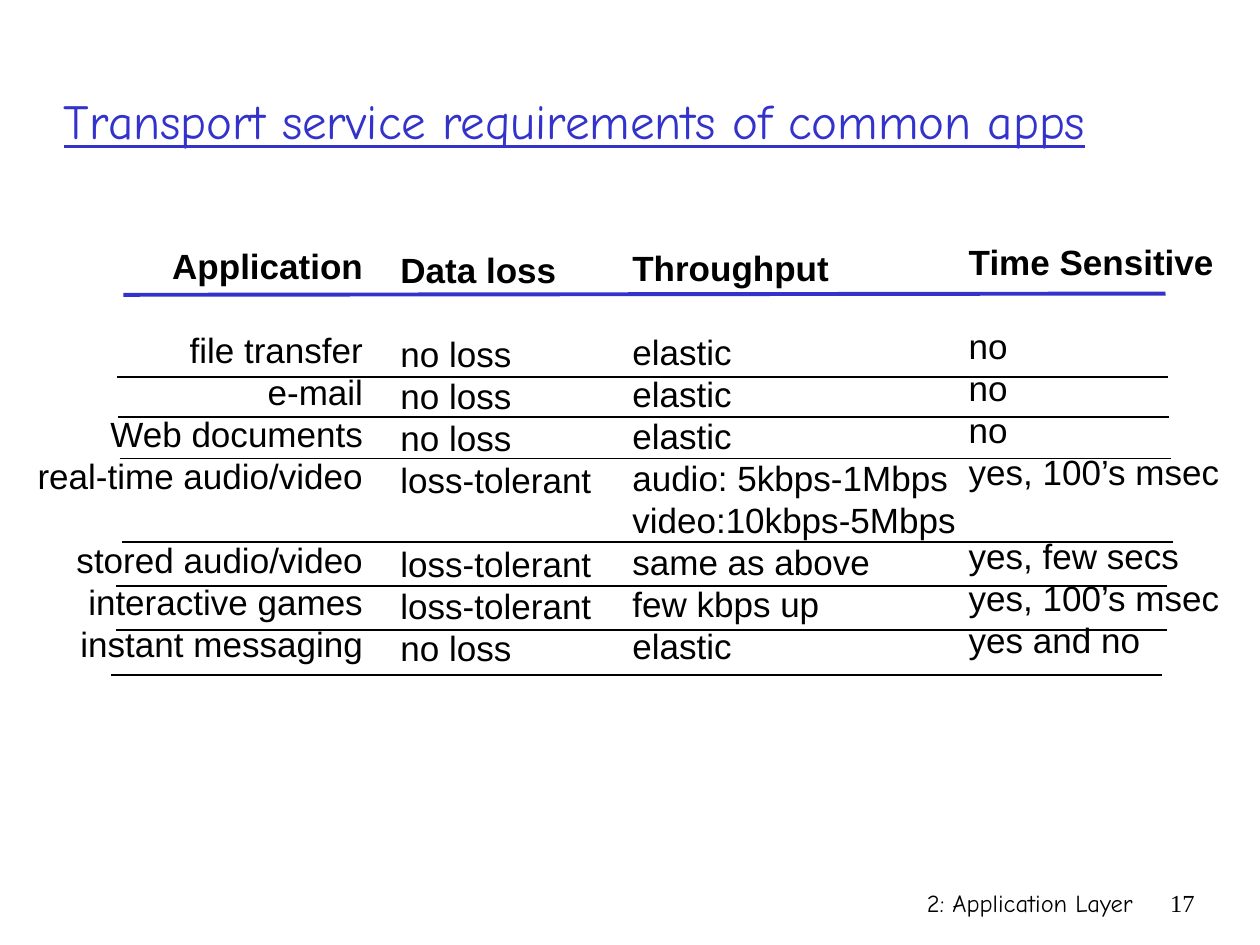
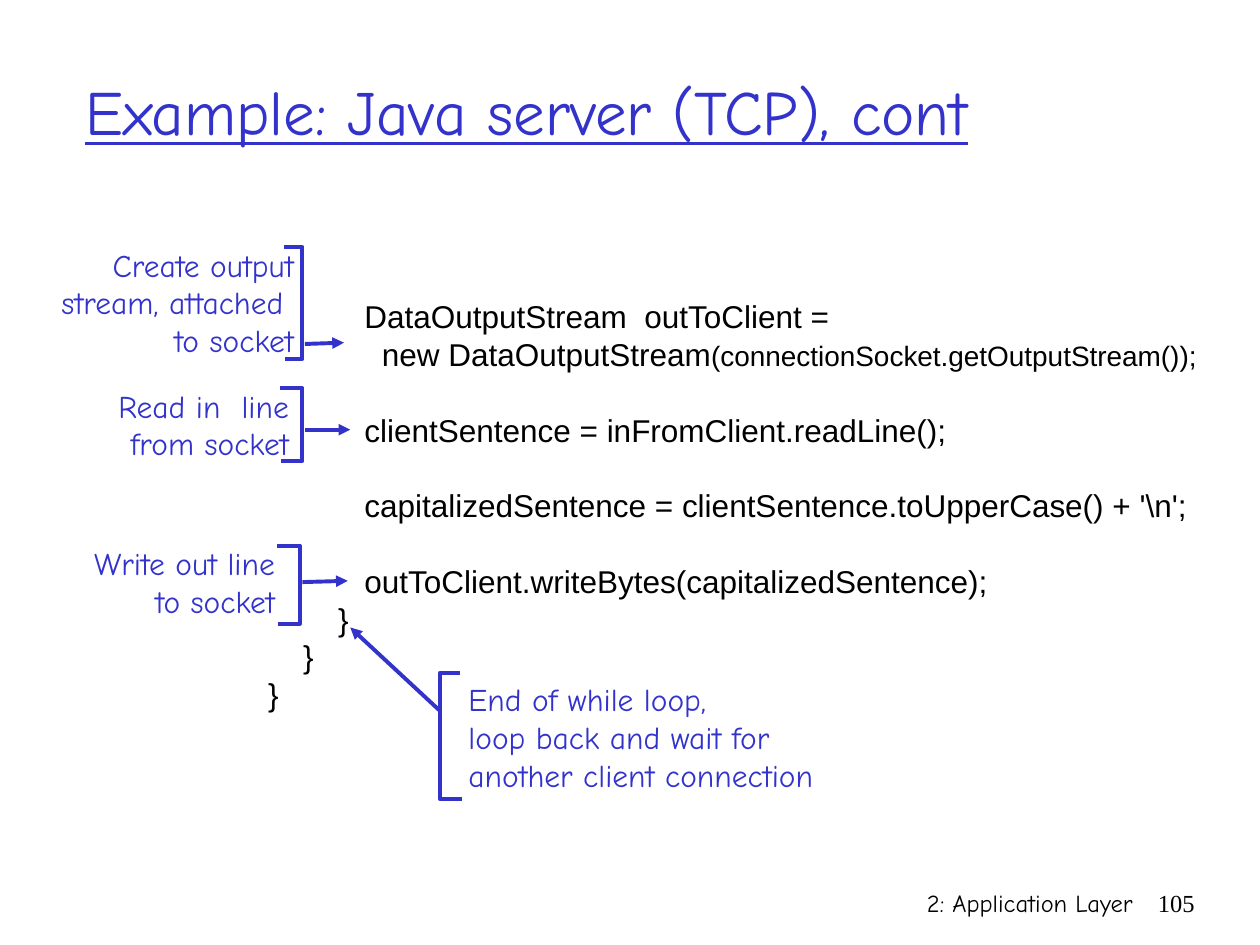
from lxml.etree import SubElement
from pptx import Presentation
from pptx.dml.color import RGBColor
from pptx.enum.shapes import MSO_CONNECTOR
from pptx.enum.text import MSO_ANCHOR, PP_ALIGN
from pptx.oxml.ns import qn
from pptx.util import Inches, Pt

BLUE = "3333CC"
BLACK = "000000"
HAND_FONT = "Comic Neue"
BODY_FONT = "Arial"
NUMBER_FONT = "Times New Roman"
LINE_HEIGHT = 1.2


def add_text(slide, box, lines, font, size, color=BLACK, align=PP_ALIGN.LEFT):
    frame = slide.shapes.add_textbox(*map(Inches, box)).text_frame
    frame.word_wrap = True
    skipped = 0
    paragraph = None
    for line in lines:
        if line is None:
            skipped += 1
            continue
        paragraph = frame.add_paragraph() if paragraph else frame.paragraphs[0]
        paragraph.alignment = align
        paragraph.line_spacing = Pt(size * LINE_HEIGHT)
        paragraph.space_before = Pt(size * LINE_HEIGHT * skipped)
        skipped = 0
        run = paragraph.add_run()
        run.text = line
        run.font.name = font
        run.font.size = Pt(size)
        run.font.color.rgb = RGBColor.from_string(color)
    return frame


def add_line(slide, start, end, color, width, arrow=False):
    points = map(Inches, (*start, *end))
    connector = slide.shapes.add_connector(MSO_CONNECTOR.STRAIGHT, *points)
    connector.line.color.rgb = RGBColor.from_string(color)
    connector.line.width = Pt(width)
    if arrow:
        SubElement(connector.line._get_or_add_ln(), qn("a:tailEnd"), type="triangle")
    SubElement(connector._element.spPr, qn("a:effectLst"))


presentation = Presentation()
presentation.slide_width = Inches(10)
presentation.slide_height = Inches(7.5)

headings = [
    ("Transport service requirements of common apps", 28, (0.41, 0.33, 8.97, 1.25), "17"),
    ("Example: Java server (TCP), cont", 36, (0.58, 0.25, 8.5, 1.25), "105"),
]
for title, title_size, title_box, number in headings:
    slide = presentation.slides.add_slide(presentation.slide_layouts[6])
    add_text(slide, (5.92, 7, 3.17, 0.5), ["2: Application Layer"], HAND_FONT, 14, align=PP_ALIGN.RIGHT)
    add_text(slide, (9.08, 7, 0.5, 0.5), [number], NUMBER_FONT, 14, align=PP_ALIGN.RIGHT)
    title_frame = add_text(slide, title_box, [title], HAND_FONT, title_size, BLUE)
    title_frame.vertical_anchor = MSO_ANCHOR.MIDDLE
    title_frame.paragraphs[0].runs[0].font.underline = True

requirements_slide, server_slide = presentation.slides

requirement_rows = [
    ("Application", "Data loss", "Throughput", "Time Sensitive"),
    (None, None, None, None),
    ("file transfer", "no loss", "elastic", "no"),
    ("e-mail", "no loss", "elastic", "no"),
    ("Web documents", "no loss", "elastic", "no"),
    ("real-time audio/video", "loss-tolerant", "audio: 5kbps-1Mbps", "yes, 100’s msec"),
    (None, None, "video:10kbps-5Mbps", None),
    ("stored audio/video", "loss-tolerant", "same as above", "yes, few secs"),
    ("interactive games", "loss-tolerant", "few kbps up", "yes, 100’s msec"),
    ("instant messaging", "no loss", "elastic", "yes and no"),
]
columns = [
    (0.1, 1.89, 2.88, PP_ALIGN.RIGHT),
    (3.08, 1.92, 1.8, PP_ALIGN.LEFT),
    (4.92, 1.91, 2.82, PP_ALIGN.LEFT),
    (7.59, 1.86, 2.26, PP_ALIGN.LEFT),
]
for (left, top, width, align), cells in zip(columns, zip(*requirement_rows)):
    frame = add_text(requirements_slide, (left, top, width, 3.44), cells, BODY_FONT, 20, align=align)
    frame.paragraphs[0].runs[0].font.bold = True

add_line(requirements_slide, (0.98, 2.34), (9.25, 2.33), BLUE, 2.25)
row_rules = [(0.93, 2.99), (0.94, 3.31), (0.95, 3.64), (0.97, 4.3), (0.92, 4.65), (0.92, 5), (0.88, 5.36)]
for left, y in row_rules:
    add_line(requirements_slide, (left, y), (left + 8.34, y), BLACK, 1)

code_lines = [
    (11, "DataOutputStream  outToClient ="),
    (13, "new DataOutputStream"),
    (0, None),
    (11, "clientSentence = inFromClient.readLine();"),
    (0, None),
    (11, "capitalizedSentence = clientSentence.toUpperCase() + '\\n';"),
    (0, None),
    (11, "outToClient.writeBytes(capitalizedSentence);"),
    (8, "}"),
    (4, "}"),
    (0, "}"),
]
code_frame = add_text(server_slide, (2.03, 2.31, 7.9, 3.4), [line for _, line in code_lines], BODY_FONT, 18)
indents = [indent for indent, line in code_lines if line]
for paragraph, indent in zip(code_frame.paragraphs, indents):
    paragraph._p.get_or_add_pPr().set("marL", str(Pt(5 * indent)))
argument = code_frame.paragraphs[1].add_run()
argument.text = "(connectionSocket.getOutputStream());"
argument.font.name = BODY_FONT
argument.font.size = Pt(16)
argument.font.color.rgb = RGBColor.from_string(BLACK)

notes = [
    ((0.14, 1.9, 2.29, 1), ["Create output", "stream, attached ", "to socket"], PP_ALIGN.RIGHT),
    ((0.14, 3.02, 2.25, 0.7), ["Read in  line", "from socket"], PP_ALIGN.RIGHT),
    ((0.14, 4.27, 2.14, 0.7), ["Write out line", "to socket"], PP_ALIGN.RIGHT),
    ((3.62, 5.35, 3.2, 1), ["End of while loop,", "loop back and wait for", "another client connection"], PP_ALIGN.LEFT),
]
for box, lines, align in notes:
    add_text(server_slide, box, lines, HAND_FONT, 18, BLUE, align)

brackets = [
    (2.4, 2.25, 2.26, 1.96, 2.85),
    (2.4, 2.22, 2.23, 3.08, 3.66),
    (2.38, 2.2, 2.21, 4.33, 4.95),
    (3.49, 3.65, 3.67, 5.34, 6.34),
]
for spine, top_tip, bottom_tip, top, bottom in brackets:
    builder = server_slide.shapes.build_freeform(Inches(top_tip), Inches(top))
    corners = [(spine, top), (spine, bottom), (bottom_tip, bottom)]
    builder.add_line_segments([(Inches(x), Inches(y)) for x, y in corners], close=False)
    bracket = builder.convert_to_shape()
    bracket.shadow.inherit = False
    bracket.fill.background()
    bracket.line.color.rgb = RGBColor.from_string(BLUE)
    bracket.line.width = Pt(2.25)

arrows = [
    ((2.42, 2.73), (2.73, 2.72)),
    ((2.42, 3.41), (2.78, 3.41)),
    ((2.4, 4.62), (2.76, 4.61)),
    ((3.49, 5.64), (2.78, 4.98)),
]
for start, end in arrows:
    add_line(server_slide, start, end, BLUE, 2.25, arrow=True)

presentation.save("out.pptx")
